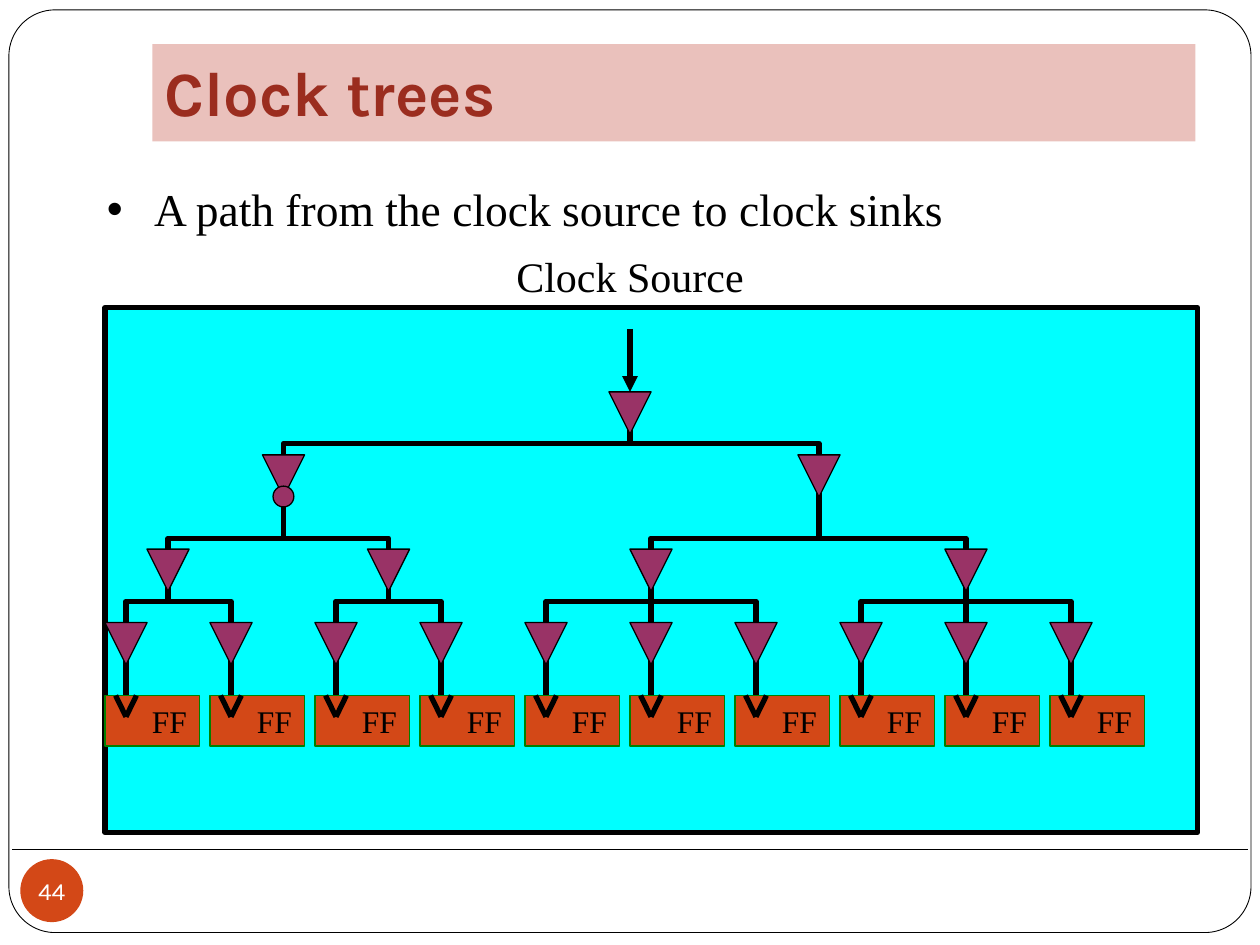
from lxml import etree
from pptx import Presentation
from pptx.dml.color import RGBColor
from pptx.enum.shapes import MSO_CONNECTOR, MSO_SHAPE
from pptx.enum.text import MSO_ANCHOR, MSO_AUTO_SIZE, PP_ALIGN
from pptx.oxml.ns import qn
from pptx.util import Cm, Pt

RECTANGLE, ROUNDED = MSO_SHAPE.RECTANGLE, MSO_SHAPE.ROUNDED_RECTANGLE
OVAL, TRIANGLE = MSO_SHAPE.OVAL, MSO_SHAPE.ISOSCELES_TRIANGLE
STRAIGHT = MSO_CONNECTOR.STRAIGHT
LEFT, CENTER, RIGHT = PP_ALIGN.LEFT, PP_ALIGN.CENTER, PP_ALIGN.RIGHT
TOP, MIDDLE, BOTTOM = MSO_ANCHOR.TOP, MSO_ANCHOR.MIDDLE, MSO_ANCHOR.BOTTOM
NO_AUTO_SIZE = MSO_AUTO_SIZE.NONE

BLACK = RGBColor(0x00, 0x00, 0x00)
WHITE = RGBColor(0xFF, 0xFF, 0xFF)
CYAN = RGBColor(0x00, 0xFF, 0xFF)
PINK = RGBColor(0xEA, 0xC1, 0xBC)
DARK_RED = RGBColor(0x9B, 0x2D, 0x1F)
ORANGE = RGBColor(0xD3, 0x48, 0x17)
GREEN = RGBColor(0x00, 0x80, 0x00)
PLUM = RGBColor(0x99, 0x33, 0x66)

HEADING_FONT, BODY_FONT = "Karla", "Times New Roman"

# Clock tree geometry in centimetres; columns count flip-flops from the left
FIRST_COLUMN, PITCH = 2.54, 25.4 / 12
BUFFER_SIZE = 0.85
FLIP_FLOP_TOP, FLIP_FLOP_COUNT = 14.02, 10
STEM_TOP = 13.18
ROOT, ROOT_TOP = 4.8, 7.9
# Each level: wire top, wire bottom, buffer top, groups of sibling columns
LEVELS = [
    (12.12, STEM_TOP, 12.55, [(0, 1), (2, 3), (4, 5, 6), (7, 8, 9)]),
    (10.85, 12.12, 11.07, [(0.4, 2.5), (5, 8)]),
    (8.94, 10.85, 9.17, [(1.5, 6.6)]),
]
INVERTER = 1.5


def column_x(column):
    return FIRST_COLUMN + column * PITCH


class SlideBuilder:
    def __init__(self, slide):
        self.slide = slide
        self.shapes = slide.shapes

    def set_text(self, shape, text, size, color, font=BODY_FONT, align=LEFT,
                 anchor=TOP, bold=False):
        frame = shape.text_frame
        frame.text = text
        frame.word_wrap = True
        frame.auto_size = NO_AUTO_SIZE
        frame.vertical_anchor = anchor
        paragraph = frame.paragraphs[0]
        paragraph.alignment = align
        paragraph.space_before = Pt(0)
        paragraph.font.name = font
        paragraph.font.size = Pt(size)
        paragraph.font.bold = bold
        paragraph.font.color.rgb = color
        return frame

    def place(self, shape, left, top, width, height):
        shape.left, shape.top = Cm(left), Cm(top)
        shape.width, shape.height = Cm(width), Cm(height)

    def title(self, text):
        shape = self.shapes.title
        self.place(shape, 3.07, 0.89, 21.03, 1.96)
        shape.fill.solid()
        shape.fill.fore_color.rgb = PINK
        frame = self.set_text(shape, text, 36, DARK_RED, HEADING_FONT,
                              anchor=BOTTOM, bold=True)
        frame.margin_bottom = Cm(0.25)

    def bullet(self, text):
        shape = self.slide.placeholders[1]
        self.place(shape, 1.9, 3.53, 21.17, 2.1)
        shape.text_frame.text = text
        properties = shape.text_frame.paragraphs[0]._p.get_or_add_pPr()
        properties.set("marL", str(Cm(0.76)))
        properties.set("indent", str(Cm(-0.76)))
        color = etree.SubElement(properties, qn("a:buClr"))
        etree.SubElement(color, qn("a:srgbClr"), val=str(ORANGE))
        etree.SubElement(properties, qn("a:buSzPct"), val="85000")
        etree.SubElement(properties, qn("a:buChar"), char="●")
        self.set_text(shape, text, 26, BLACK)

    def shape(self, kind, left, top, width, height, fill, line=BLACK, weight=0.75):
        shape = self.shapes.add_shape(kind, Cm(left), Cm(top), Cm(width), Cm(height))
        shape.shadow.inherit = False
        if fill is None:
            shape.fill.background()
        else:
            shape.fill.solid()
            shape.fill.fore_color.rgb = fill
        if line is None:
            shape.line.fill.background()
        else:
            shape.line.color.rgb = line
            shape.line.width = Pt(weight)
        return shape

    def label(self, text, left, top, width, height, size):
        box = self.shapes.add_textbox(Cm(left), Cm(top), Cm(width), Cm(height))
        self.set_text(box, text, size, BLACK)

    def line(self, x1, y1, x2, y2, weight=3, arrow=False):
        connector = self.shapes.add_connector(STRAIGHT, Cm(x1), Cm(y1), Cm(x2), Cm(y2))
        connector.line.color.rgb = BLACK
        connector.line.width = Pt(weight)
        properties = connector._element.spPr
        if arrow:
            etree.SubElement(properties.find(qn("a:ln")), qn("a:tailEnd"), type="triangle")
        etree.SubElement(properties, qn("a:effectLst"))

    def bracket(self, left, right, top, bottom):
        builder = self.shapes.build_freeform(Cm(left), Cm(bottom))
        corners = [(left, top), (right, top), (right, bottom)]
        builder.add_line_segments([(Cm(x), Cm(y)) for x, y in corners], close=False)
        shape = builder.convert_to_shape()
        shape.shadow.inherit = False
        shape.fill.background()
        shape.line.color.rgb = BLACK
        shape.line.width = Pt(3)

    def buffer(self, column, top):
        left = column_x(column) - BUFFER_SIZE / 2
        self.shape(TRIANGLE, left, top, BUFFER_SIZE, BUFFER_SIZE, PLUM).rotation = 180

    def flip_flop(self, column):
        x = column_x(column)
        box = self.shape(RECTANGLE, x - 0.42, FLIP_FLOP_TOP, 1.9, 1.02, ORANGE, GREEN)
        self.set_text(box, "FF", 18, BLACK, align=RIGHT)
        for side in (-0.21, 0.21):
            self.line(x + side, FLIP_FLOP_TOP, x, FLIP_FLOP_TOP + 0.43)
        self.line(x, STEM_TOP, x, FLIP_FLOP_TOP)


def main():
    presentation = Presentation()
    presentation.slide_width, presentation.slide_height = Cm(25.4), Cm(19.05)
    slide = presentation.slides.add_slide(presentation.slide_layouts[1])
    builder = SlideBuilder(slide)

    # Page frame and heading
    frame = builder.shape(ROUNDED, 0.18, 0.2, 25.04, 18.6, None, weight=0.5)
    frame.adjustments[0] = 0.05
    builder.line(0.25, 17.12, 25.15, 17.12, weight=0.75)
    builder.title("Clock trees")
    builder.bullet("A path from the clock source to clock sinks")

    # Diagram panel and clock source
    builder.shape(RECTANGLE, 2.12, 6.2, 22.02, 10.58, CYAN, weight=3)
    root_x = column_x(ROOT)
    builder.line(root_x, 6.63, root_x, ROOT_TOP, arrow=True)
    builder.label("Clock Source", 10.16, 4.93, 5.5, 1.27, 24)

    # Clock sinks
    for column in range(FLIP_FLOP_COUNT):
        builder.flip_flop(column)

    # Wires of every level, then the buffers over them
    for wire_top, wire_bottom, _, groups in LEVELS:
        for group in groups:
            for left, right in zip(group, group[1:]):
                builder.bracket(column_x(left), column_x(right), wire_top, wire_bottom)
    builder.line(root_x, 8.1, root_x, LEVELS[-1][0])
    for _, _, buffer_top, groups in LEVELS:
        for group in groups:
            for column in group:
                builder.buffer(column, buffer_top)
    builder.shape(OVAL, column_x(INVERTER) - 0.21, 9.8, 0.42, 0.42, PLUM)
    builder.buffer(ROOT, ROOT_TOP)

    # Page number
    badge = builder.shape(OVAL, 0.41, 17.32, 1.27, 1.27, ORANGE, None)
    text_frame = builder.set_text(badge, "44", 14, WHITE, HEADING_FONT, CENTER, MIDDLE)
    text_frame.margin_left = text_frame.margin_right = Cm(0)
    text_frame.margin_top = text_frame.margin_bottom = Cm(0)

    presentation.save("out.pptx")


if __name__ == "__main__":
    main()
